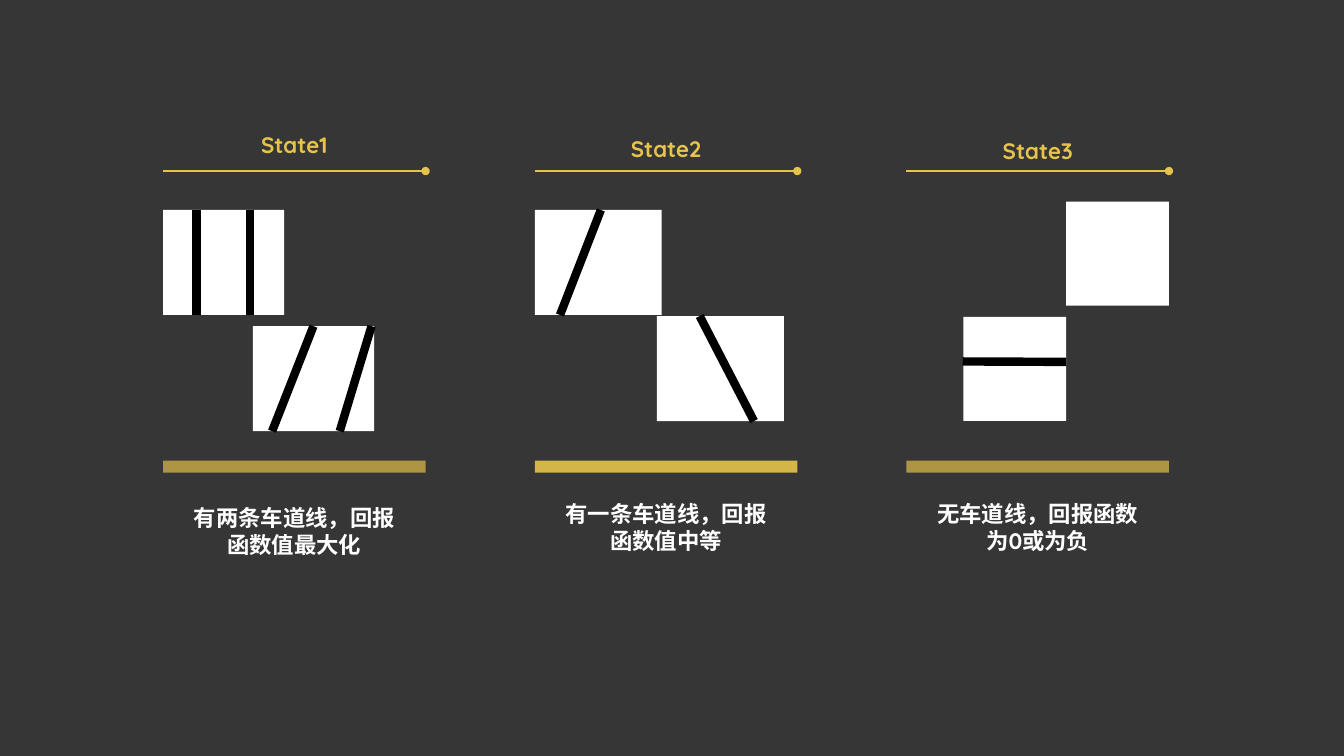
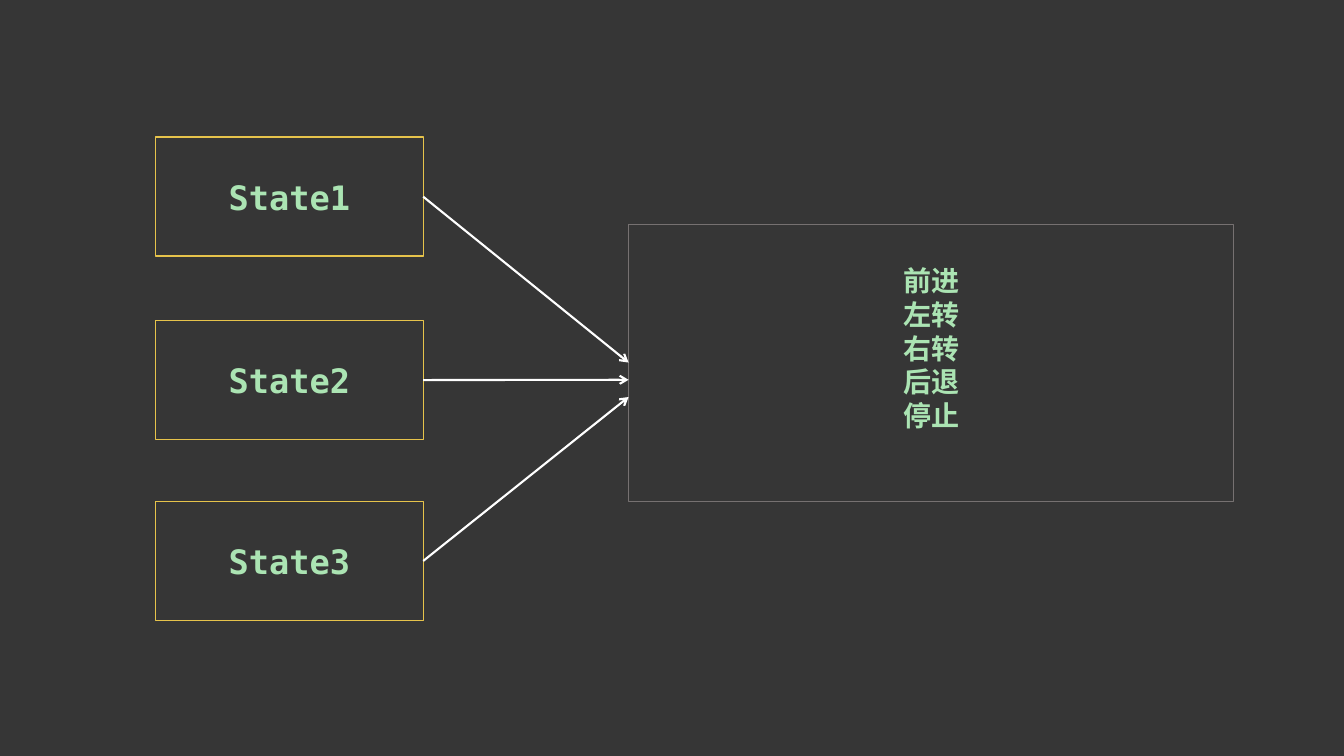
from lxml import etree
from pptx import Presentation
from pptx.dml.color import RGBColor
from pptx.enum import lang, shapes, text
from pptx.oxml import ns
from pptx.util import Pt

CHARCOAL = RGBColor(0x36, 0x36, 0x36)
GOLD = RGBColor(0xE6, 0xC3, 0x4B)
GREEN = RGBColor(0xAB, 0xE4, 0xB3)
GREY = RGBColor(0x76, 0x71, 0x71)
WHITE = RGBColor(0xFF, 0xFF, 0xFF)
BLACK = RGBColor(0, 0, 0)
SANS = "Quicksand"
MONO = "DejaVu Sans Mono"


def draw_line(page, start, end, color, width, tail=None):
    points = [Pt(value) for value in (*start, *end)]
    line = page.shapes.add_connector(shapes.MSO_CONNECTOR.STRAIGHT, *points)
    line.line.color.rgb = color
    line.line.width = Pt(width)
    if tail:
        etree.SubElement(line.get_or_add_ln(), ns.qn("a:tailEnd"), type=tail)
    etree.SubElement(line._element.spPr, ns.qn("a:effectLst"))
    return line


def draw_box(page, left, top, width, height, fill=None, edge=None, opacity=100):
    box = page.shapes.add_shape(
        shapes.MSO_SHAPE.RECTANGLE, Pt(left), Pt(top), Pt(width), Pt(height))
    box.shadow.inherit = False
    if fill is None:
        box.fill.background()
    else:
        box.fill.solid()
        box.fill.fore_color.rgb = fill
        color = box._element.spPr.find(".//" + ns.qn("a:srgbClr"))
        if opacity < 100:
            etree.SubElement(color, ns.qn("a:alpha"), val=str(opacity * 1000))
    if edge is None:
        box.line.fill.background()
    else:
        box.line.color.rgb = edge
        box.line.width = Pt(1)
    return box


deck = Presentation()
deck.slide_width = Pt(960)
deck.slide_height = Pt(540)
background = deck.slide_master.background.fill
background.solid()
background.fore_color.rgb = CHARCOAL
blank = deck.slide_layouts[6]
writings = []

page = deck.slides.add_slide(blank)
column_width = 187.5
columns = [
    ("State1", 90, "有两条车道线，回报函数值最大化", 356.5, 68),
    ("State2", 93, "有一条车道线，回报函数值中等", 353.5, 90),
    ("State3", 94.5, "无车道线，回报函数为0或为负", 353.5, 68),
]
for index, (state, state_top, caption, caption_top, opacity) in enumerate(columns):
    left = 116.5 + index * 265.5
    draw_line(page, (left, 122.2), (left + column_width, 122.2), GOLD, 1, "oval")
    draw_box(page, left, 329, column_width, 8.7, GOLD, opacity=opacity)
    for words, top, width, height, color in (
        (state, state_top, 244, 26.6, GOLD),
        (caption, caption_top, 173.5, 46, WHITE),
    ):
        box = page.shapes.add_textbox(
            Pt(left + (column_width - width) / 2), Pt(top), Pt(width), Pt(height))
        writings.append((box, words, 16, SANS, color))

panels = [
    (116.5, 150, 86.5, 75, [(24, 0, 24, 75), (62, 0, 62, 75)]),
    (180.7, 233, 86.5, 75, [(43.2, 0, 13.7, 75), (84.7, 0, 62, 75)]),
    (382, 150, 90.7, 75, [(47.2, 0, 18, 75)]),
    (469.3, 225.8, 90.7, 75, [(30.5, 0, 69.3, 75)]),
    (761.5, 144, 73.5, 74.3, []),
    (688.2, 226.4, 73.3, 74.3, [(-0.5, 31.8, 73.3, 32.1)]),
]
for left, top, width, height, lanes in panels:
    draw_box(page, left, top, width, height, WHITE)
    for x1, y1, x2, y2 in lanes:
        draw_line(page, (left + x1, top + y1), (left + x2, top + y2), BLACK, 6)

page = deck.slides.add_slide(blank)
actions = draw_box(page, 449, 160.2, 432.3, 198, edge=GREY)
actions.text_frame.margin_bottom = Pt(25)
writings.append((actions, "前进\n左转\n右转\n后退\n停止", 20, MONO, GREEN))
for number, (top, target) in enumerate([(98, 259), (229, 271.3), (358.2, 283.6)], 1):
    state = draw_box(page, 111, top, 191.3, 85, edge=GOLD)
    writings.append((state, f"State{number}", 24, MONO, GREEN))
    arrow = draw_line(
        page, (302.3, top + 42.5), (449, target), WHITE, 1.5, "arrow")
    arrow.begin_connect(state, 3)

for box, words, size, font, color in writings:
    frame = box.text_frame
    frame.word_wrap = True
    frame.text = words
    for para in frame.paragraphs:
        para.alignment = text.PP_ALIGN.CENTER
        for span in para.runs:
            span.font.name = font
            span.font.size = Pt(size)
            span.font.bold = True
            span.font.color.rgb = color
            span.font.language_id = lang.MSO_LANGUAGE_ID.SIMPLIFIED_CHINESE

deck.save("out.pptx")
